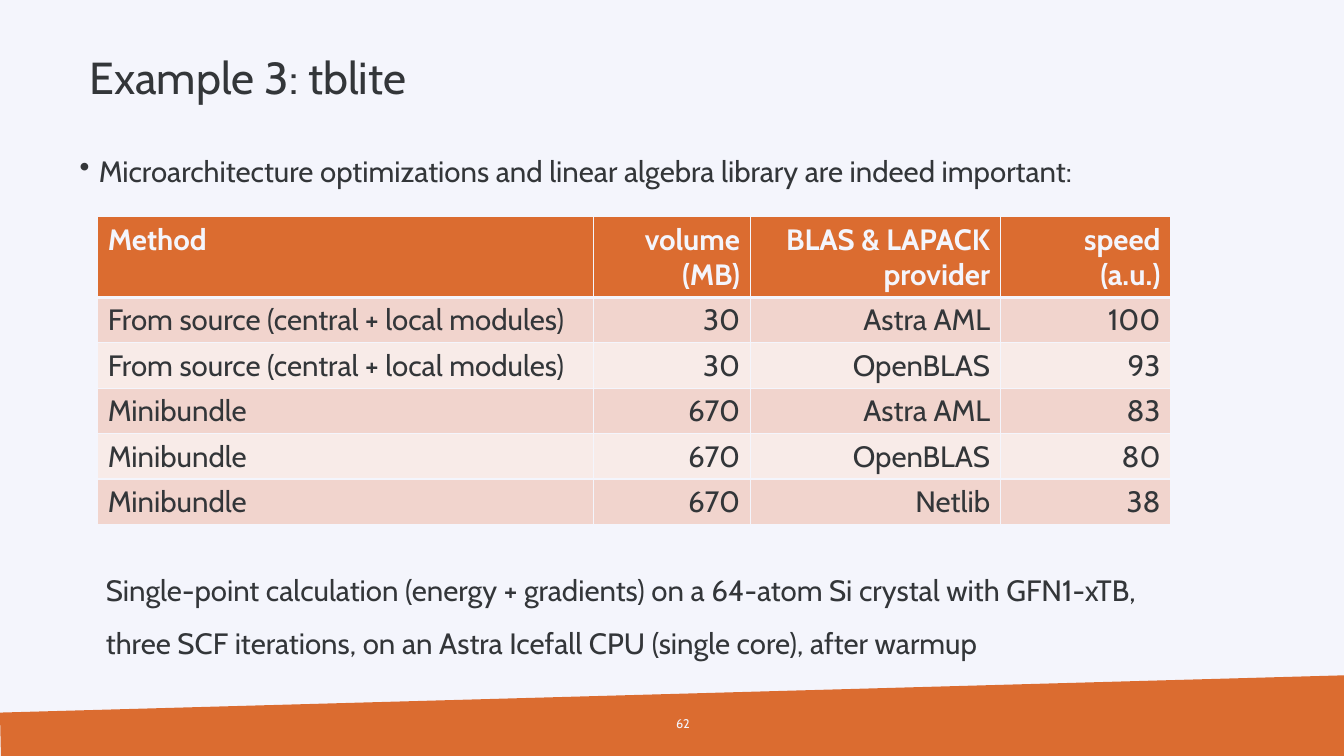
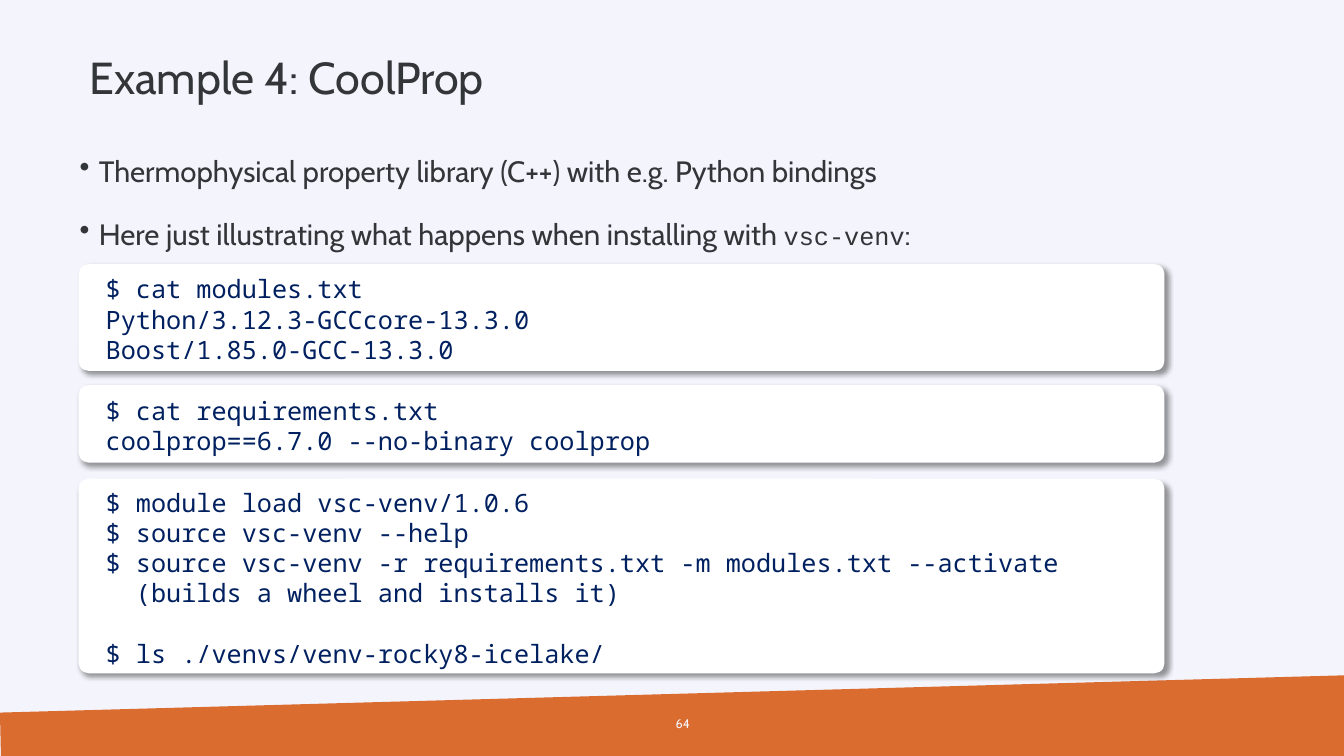
"""Build two slides on installing scientific software: a speed table and code panels."""

from dataclasses import dataclass

from lxml import etree
from pptx import Presentation
from pptx.dml.color import RGBColor
from pptx.enum.shapes import MSO_SHAPE
from pptx.enum.text import MSO_ANCHOR, PP_ALIGN
from pptx.oxml.ns import qn
from pptx.slide import Slide
from pptx.table import _Cell
from pptx.text.text import TextFrame, _Paragraph
from pptx.util import Inches, Pt

ROUND = MSO_SHAPE.ROUNDED_RECTANGLE
MIDDLE = MSO_ANCHOR.MIDDLE
TOP = MSO_ANCHOR.TOP
LEFT = PP_ALIGN.LEFT
RIGHT = PP_ALIGN.RIGHT


@dataclass(frozen=True)
class Style:
    font: str
    size: float
    color: str
    bold: bool = False


@dataclass(frozen=True)
class Theme:
    paper: str = "F4F5FC"
    accent: str = "DB6C30"
    ink: str = "333639"
    panel: str = "FFFFFF"
    shade: str = "000000"
    bands: tuple[str, str] = ("F1D4CD", "F8EBE8")
    title: Style = Style("Cabin", 32, "333639")
    body: Style = Style("Cabin", 21, "333639")
    head: Style = Style("Cabin", 21, "F4F5FC", True)
    page: Style = Style("Cabin", 9, "F4F5FC")
    term: Style = Style("Courier New", 18, "333639")
    code: Style = Style("Noto Sans Mono", 18, "002060")
    lead: float = 21.6
    gap: float = 7.5


@dataclass(frozen=True)
class Box:
    left: float
    top: float
    width: float
    height: float

    def place(self) -> tuple[int, int, int, int]:
        return Inches(self.left), Inches(self.top), Inches(self.width), Inches(self.height)


@dataclass(frozen=True)
class Panel:
    top: float
    height: float
    blocks: tuple[str, ...]


THEME = Theme()
COLS = (4.92, 1.55, 2.48, 1.69)
HEADS = ("Method", "volume\n(MB)", "BLAS & LAPACK provider", "speed\n(a.u.)")
SOURCE = "From source (central + local modules)"
ROWS = (
    HEADS,
    (SOURCE, "30", "Astra AML", "100"),
    (SOURCE, "30", "OpenBLAS", "93"),
    ("Minibundle", "670", "Astra AML", "83"),
    ("Minibundle", "670", "OpenBLAS", "80"),
    ("Minibundle", "670", "Netlib", "38"),
)
NOTE = (
    "Single-point calculation (energy + gradients) on a 64-atom Si crystal with GFN1-xTB,\n"
    "three SCF iterations, on an Astra Icefall CPU (single core), after warmup"
)
PANELS = (
    Panel(2.62, 1.06, ("$ cat modules.txt\nPython/3.12.3-GCCcore-13.3.0\nBoost/1.85.0-GCC-13.3.0",)),
    Panel(3.82, 0.77, ("$ cat requirements.txt\ncoolprop==6.7.0 --no-binary coolprop",)),
    Panel(
        4.75,
        1.93,
        (
            "$ module load vsc-venv/1.0.6\n"
            "$ source vsc-venv --help\n"
            "$ source vsc-venv -r requirements.txt -m modules.txt --activate\n"
            "  (builds a wheel and installs it)",
            "$ ls ./venvs/venv-rocky8-icelake/",
        ),
    ),
)


def rgb(color: str) -> RGBColor:
    return RGBColor.from_string(color)


def write(par: _Paragraph, text: str, style: Style) -> None:
    first, *rest = text.split("`")
    par.text = first
    styles = [style] * len(par.runs)
    for spot, part in enumerate(rest):
        par.add_run().text = part
        styles.append(style if spot % 2 else THEME.term)
    for run, look in zip(par.runs, styles):
        run.font.name = look.font
        run.font.size = Pt(look.size)
        run.font.bold = look.bold
        run.font.color.rgb = rgb(look.color)


def set_pad(frame: TextFrame, left: float = 0, top: float = 0) -> None:
    frame.margin_left = Inches(left)
    frame.margin_top = Inches(top)
    frame.margin_right = frame.margin_bottom = 0


def add_text(slide: Slide, box: Box, text: str, style: Style, anchor: MSO_ANCHOR = TOP,
             align: PP_ALIGN = LEFT, space: float = 1.0) -> TextFrame:
    frame = slide.shapes.add_textbox(*box.place()).text_frame
    frame.word_wrap = True
    frame.vertical_anchor = anchor
    par = frame.paragraphs[0]
    par.alignment = align
    par.line_spacing = space
    write(par, text, style)
    return frame


def add_list(slide: Slide, box: Box, items: tuple[str, ...]) -> None:
    frame = slide.shapes.add_textbox(*box.place()).text_frame
    frame.word_wrap = True
    set_pad(frame)
    for spot, item in enumerate(items):
        par = frame.add_paragraph() if spot else frame.paragraphs[0]
        props = par._p.get_or_add_pPr()
        props.set("marL", str(Inches(0.19)))
        props.set("indent", str(-Inches(0.19)))
        etree.SubElement(props, qn("a:buChar"), char="•")
        par.line_spacing = 1.5
        if spot:
            par.space_before = Pt(THEME.gap)
        write(par, item, THEME.body)


def add_slide(deck: Presentation, title: str, page: int) -> Slide:
    slide = deck.slides.add_slide(deck.slide_layouts[6])
    pen = slide.shapes.build_freeform(Inches(0), Inches(7.07))
    edge = ((13.33, 6.7), (13.33, 7.5), (0.01, 7.5))
    pen.add_line_segments([(Inches(x), Inches(y)) for x, y in edge])
    band = pen.convert_to_shape()
    band.shadow.inherit = False
    band.fill.solid()
    band.fill.fore_color.rgb = rgb(THEME.accent)
    band.line.fill.background()
    add_text(slide, Box(6.39, 6.98, 0.55, 0.4), str(page), THEME.page, MIDDLE, RIGHT)
    add_text(slide, Box(0.79, 0.36, 12.15, 0.87), title, THEME.title, MIDDLE, space=0.9)
    return slide


def add_edges(cell: _Cell, row: int) -> None:
    props = cell._tc.get_or_add_tcPr()
    thick = {"lnT": 3 if row == 1 else 1, "lnB": 3 if row == 0 else 1}
    for side in ("lnL", "lnR", "lnT", "lnB"):
        line = etree.SubElement(props, qn(f"a:{side}"), w=str(Pt(thick.get(side, 1))))
        fill = etree.SubElement(line, qn("a:solidFill"))
        etree.SubElement(fill, qn("a:srgbClr"), val=THEME.paper)


def add_grid(slide: Slide) -> None:
    box = Box(0.97, 2.15, sum(COLS), 3.05)
    grid = slide.shapes.add_table(len(ROWS), len(COLS), *box.place()).table
    grid.horz_banding = False
    for col, width in zip(grid.columns, COLS):
        col.width = Inches(width)
    for row, texts in enumerate(ROWS):
        grid.rows[row].height = Inches(0.45 if row else 0.8)
        for col, text in enumerate(texts):
            cell = grid.cell(row, col)
            add_edges(cell, row)
            cell.fill.solid()
            cell.fill.fore_color.rgb = rgb(THEME.bands[(row - 1) % 2] if row else THEME.accent)
            par = cell.text_frame.paragraphs[0]
            par.alignment = RIGHT if col else LEFT
            write(par, text, THEME.body if row else THEME.head)


def add_panel(slide: Slide, panel: Panel) -> None:
    box = Box(0.78, panel.top, 10.77, panel.height)
    shape = slide.shapes.add_shape(ROUND, *box.place())
    shape.adjustments[0] = 0.1 / panel.height
    shape.fill.solid()
    shape.fill.fore_color.rgb = rgb(THEME.panel)
    shape.line.fill.background()
    shape.shadow.inherit = False
    glow = etree.SubElement(
        shape._element.spPr.find(qn("a:effectLst")), qn("a:outerShdw"),
        blurRad=str(Pt(4)), dist=str(Pt(3)), dir="2700000", algn="tl", rotWithShape="0",
    )
    tint = etree.SubElement(glow, qn("a:srgbClr"), val=THEME.shade)
    etree.SubElement(tint, qn("a:alpha"), val="40000")
    frame = shape.text_frame
    frame.word_wrap = True
    frame.vertical_anchor = MIDDLE
    set_pad(frame, 0.24, 0.03)
    for spot, block in enumerate(panel.blocks):
        par = frame.add_paragraph() if spot else frame.paragraphs[0]
        par.alignment = LEFT
        par.line_spacing = Pt(THEME.lead)
        if spot:
            par.space_before = Pt(THEME.lead)
        write(par, block, THEME.code)


def main() -> None:
    deck = Presentation()
    deck.slide_width = Inches(13.33)
    deck.slide_height = Inches(7.5)
    back = deck.slide_master.background.fill
    back.solid()
    back.fore_color.rgb = rgb(THEME.paper)

    speed = add_slide(deck, "Example 3: tblite", 62)
    add_list(speed, Box(0.79, 1.34, 11.94, 0.7), (
        "Microarchitecture optimizations and linear algebra library are indeed important:",
    ))
    add_grid(speed)
    set_pad(add_text(speed, Box(1.05, 5.5, 10.22, 1.15), NOTE, THEME.body, space=1.5))

    code = add_slide(deck, "Example 4: CoolProp", 64)
    add_list(code, Box(0.79, 1.34, 11.94, 1.25), (
        "Thermophysical property library (C++) with e.g. Python bindings",
        "Here just illustrating what happens when installing with `vsc-venv`:",
    ))
    for panel in PANELS:
        add_panel(code, panel)
    deck.save("out.pptx")


if __name__ == "__main__":
    main()
